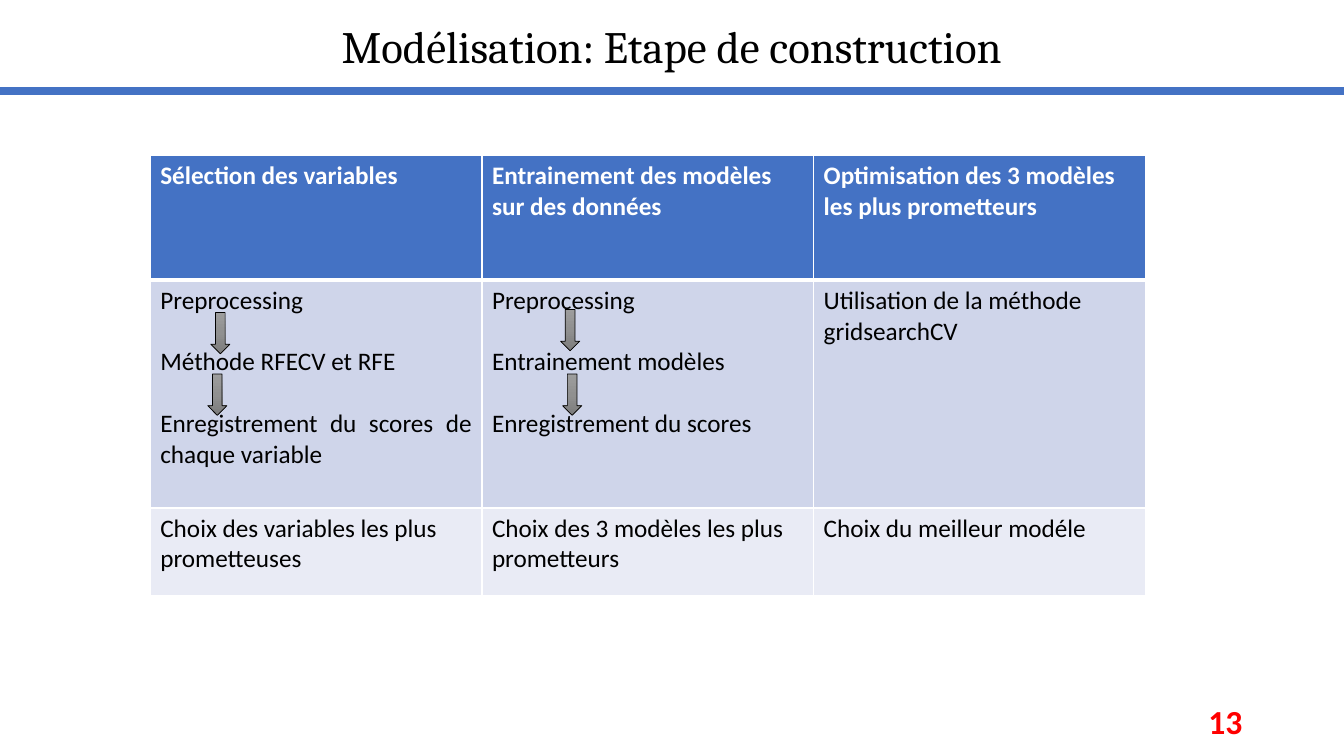
from copy import deepcopy

from lxml import etree
from pptx import Presentation
from pptx.dml.color import RGBColor
from pptx.enum.shapes import MSO_CONNECTOR, MSO_SHAPE
from pptx.enum.text import MSO_ANCHOR, PP_ALIGN
from pptx.oxml.ns import qn
from pptx.util import Inches, Pt

LEFT, CENTER, RIGHT = PP_ALIGN.LEFT, PP_ALIGN.CENTER, PP_ALIGN.RIGHT
JUSTIFY = PP_ALIGN.JUSTIFY
MIDDLE = MSO_ANCHOR.MIDDLE
DOWN_ARROW = MSO_SHAPE.DOWN_ARROW
STRAIGHT = MSO_CONNECTOR.STRAIGHT

COLORS = {
    "white": "FFFFFF",
    "black": "000000",
    "blue": "4472C4",
    "row_dark": "CFD5EA",
    "row_light": "E9EBF5",
    "red": "FF0000",
}
ARROW_GRADIENT = [(0, "9D9D9D"), (0.5, "909090"), (1, "7C7C7C")]

SLIDE_WIDTH, SLIDE_HEIGHT = 13.33, 7.5
COLUMN_WIDTH = 3.29
ROW_HEIGHTS = [1.24, 2.26, 0.87]
ROW_FILLS = ["blue", "row_dark", "row_light"]
STEP_GAP = 22

# Each cell is a list of paragraphs; several paragraphs form a chain of steps.
TABLE_ROWS = [
    [
        ["Sélection des variables"],
        ["Entrainement des modèles sur des données"],
        ["Optimisation des 3 modèles les plus prometteurs"],
    ],
    [
        ["Preprocessing", "Méthode RFECV et RFE",
         "Enregistrement du scores de chaque variable"],
        ["Preprocessing", "Entrainement modèles", "Enregistrement du scores"],
        ["Utilisation de la méthode gridsearchCV"],
    ],
    [
        ["Choix des variables les plus prometteuses"],
        ["Choix des 3 modèles les plus prometteurs"],
        ["Choix du meilleur modéle"],
    ],
]
ARROW_POSITIONS = [(5.56, 3.07), (5.58, 3.71), (2.09, 3.1), (2.06, 3.71)]


def rgb(name):
    return RGBColor.from_string(COLORS[name])


def add_run(paragraph, text, size, font_name, color, bold=False):
    run = paragraph.add_run()
    run.text = text
    run.font.size = Pt(size)
    run.font.name = font_name
    run.font.bold = bold
    run.font.color.rgb = rgb(color)


def add_text(slide, text, box, alignment, size, font_name, color, bold=False):
    text_box = slide.shapes.add_textbox(*(Inches(length) for length in box))
    frame = text_box.text_frame
    frame.word_wrap = True
    frame.vertical_anchor = MIDDLE
    paragraph = frame.paragraphs[0]
    paragraph.alignment = alignment
    add_run(paragraph, text, size, font_name, color, bold)
    return paragraph


def set_borders(cell, widths):
    """Draw white borders; widths are points for left, right, top, bottom."""
    properties = cell._tc.get_or_add_tcPr()
    for index, (side, width) in enumerate(zip("LRTB", widths)):
        line = etree.Element(qn(f"a:ln{side}"), w=str(Pt(width)))
        fill = etree.SubElement(line, qn("a:solidFill"))
        etree.SubElement(fill, qn("a:srgbClr"), val=COLORS["white"])
        properties.insert(index, line)


def fill_cell(cell, texts, row_index):
    is_header = row_index == 0
    cell.fill.solid()
    cell.fill.fore_color.rgb = rgb(ROW_FILLS[row_index])
    set_borders(cell, (1, 1, 3 if row_index == 1 else 1, 3 if is_header else 1))
    frame = cell.text_frame
    for index, text in enumerate(texts):
        paragraph = frame.add_paragraph() if index else frame.paragraphs[0]
        paragraph.alignment = JUSTIFY if len(texts) > 1 else LEFT
        if index:
            paragraph.space_before = Pt(STEP_GAP)
        add_run(paragraph, text, 18, "Calibri",
                "white" if is_header else "black", is_header)


def add_steps_table(slide):
    column_count = len(TABLE_ROWS[0])
    table = slide.shapes.add_table(
        len(TABLE_ROWS), column_count, Inches(1.49), Inches(1.54),
        Inches(COLUMN_WIDTH * column_count), Inches(sum(ROW_HEIGHTS))).table
    for column in table.columns:
        column.width = Inches(COLUMN_WIDTH)
    for row_index, row_texts in enumerate(TABLE_ROWS):
        table.rows[row_index].height = Inches(ROW_HEIGHTS[row_index])
        for column_index, texts in enumerate(row_texts):
            fill_cell(table.cell(row_index, column_index), texts, row_index)


def add_step_arrow(slide, left, top):
    arrow = slide.shapes.add_shape(
        DOWN_ARROW, Inches(left), Inches(top), Inches(0.19), Inches(0.41))
    arrow.shadow.inherit = False
    arrow.fill.gradient()
    arrow.fill.gradient_angle = 270
    stop_list = arrow._element.spPr.find(".//" + qn("a:gsLst"))
    stop_list.insert(1, deepcopy(stop_list[0]))
    for stop, (position, color) in zip(arrow.fill.gradient_stops, ARROW_GRADIENT):
        stop.position = position
        stop.color.rgb = RGBColor.from_string(color)
    arrow.line.color.rgb = rgb("black")
    arrow.line.width = Pt(0.5)


def add_title_rule(slide):
    rule = slide.shapes.add_connector(
        STRAIGHT, Inches(0), Inches(0.9), Inches(SLIDE_WIDTH), Inches(0.9))
    rule.line.color.rgb = rgb("blue")
    rule.line.width = Pt(5.75)
    etree.SubElement(rule._element.spPr, qn("a:effectLst"))


def main():
    presentation = Presentation()
    presentation.slide_width = Inches(SLIDE_WIDTH)
    presentation.slide_height = Inches(SLIDE_HEIGHT)
    slide = presentation.slides.add_slide(presentation.slide_layouts[6])

    add_steps_table(slide)
    for left, top in ARROW_POSITIONS:
        add_step_arrow(slide, left, top)
    add_title_rule(slide)
    title = add_text(slide, "Modélisation: Etape de construction",
                     (0, -0.09, SLIDE_WIDTH, 1.16), CENTER, 32, "Cambria", "black")
    title.line_spacing = 0.9
    add_text(slide, "13", (9.42, 6.95, 3, 0.4), RIGHT, 24, "Calibri", "red", True)

    presentation.save("out.pptx")


if __name__ == "__main__":
    main()
